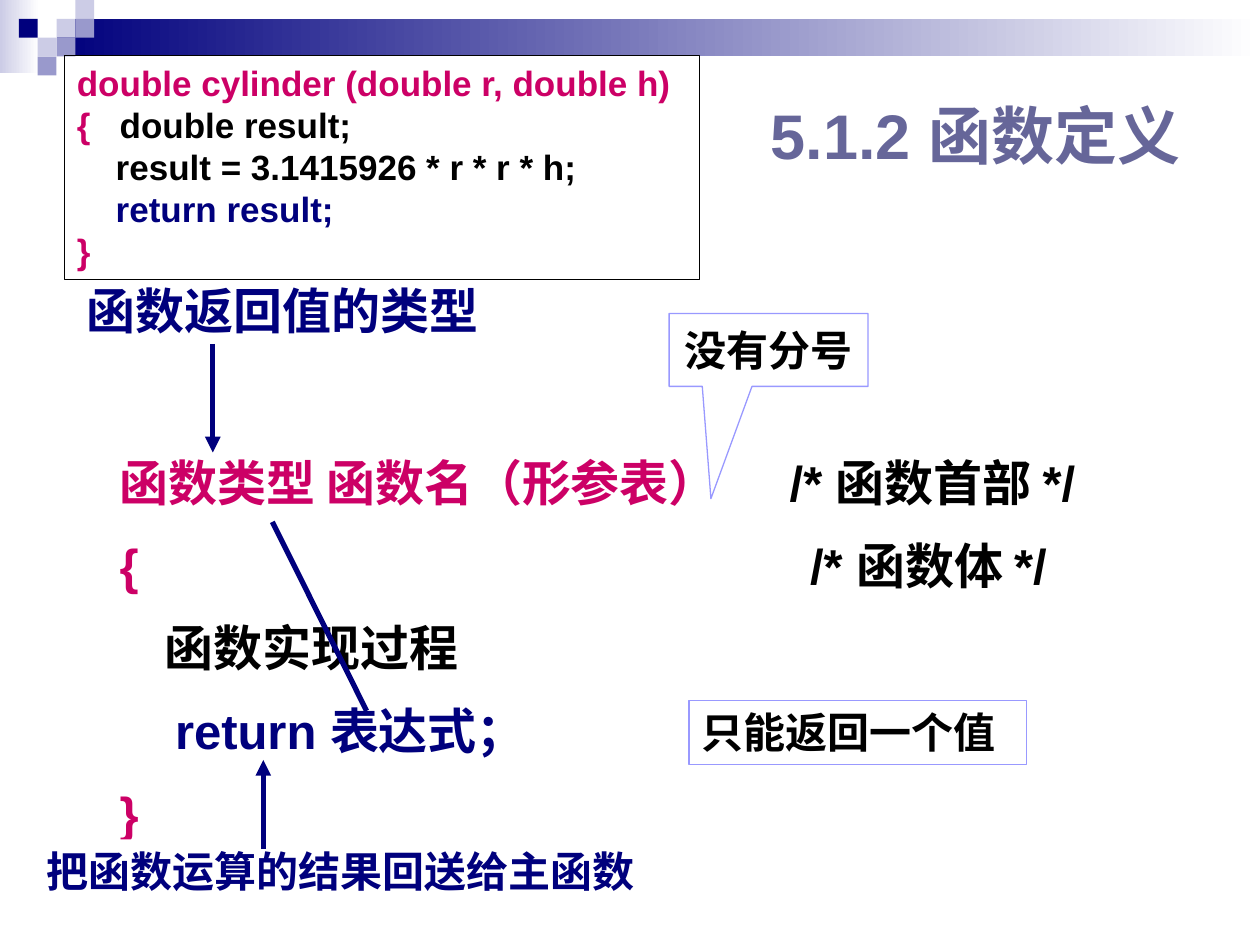
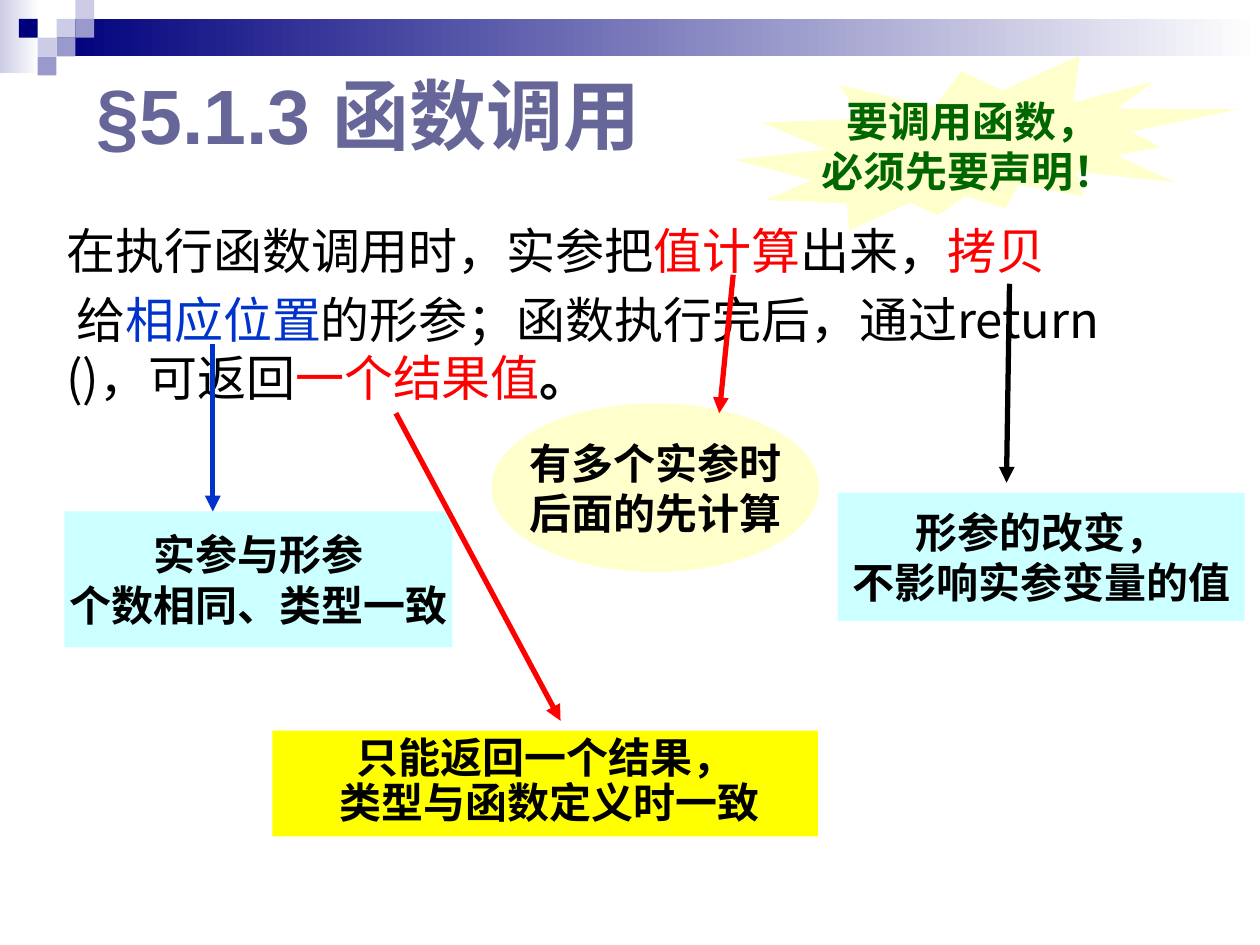
from lxml.etree import SubElement
from pptx import Presentation
from pptx.dml.color import RGBColor
from pptx.enum.shapes import MSO_CONNECTOR, MSO_SHAPE
from pptx.enum.text import MSO_ANCHOR, PP_ALIGN
from pptx.oxml.ns import qn
from pptx.util import Cm, Pt

NAVY = "00007D"
LAVENDER = "CCCCE6"
PERIWINKLE = "9999CC"
OUTLINE = "9999FF"
TITLE = "666699"
MAGENTA = "CC0066"
BLACK = "000000"
WHITE = "FFFFFF"
RED = "FF0000"
BLUE = "0033CC"
GREEN = "006600"
CREAM = "FFFFCC"
AQUA = "CCFFFF"
YELLOW = "FFFF00"
CHINESE_FONT = "Noto Sans CJK SC"
SQUARE = 0.38


def color(value):
    return RGBColor.from_string(value)


def inside(box, left, top, width, height):
    return box[0] + left, box[1] + top, width, height


def set_format(target, values):
    for name, value in values.items():
        setattr(target, name, value)


def add_run(paragraph, text, size, ink, font="Arial", bold=True):
    run = paragraph.add_run()
    run.text = text
    set_format(run.font, {"name": font, "size": Pt(size), "bold": bold})
    run.font.color.rgb = color(ink)
    SubElement(run.font._element, qn("a:ea"), typeface=CHINESE_FONT)


def write(shape, lines, size, font="Arial", bold=True, frame=None, layout=None):
    text_frame = shape.text_frame
    set_format(text_frame, {"word_wrap": True, "vertical_anchor": MSO_ANCHOR.TOP,
                            **(frame or {})})
    for index, line in enumerate(lines):
        paragraph = text_frame.paragraphs[0] if index == 0 else text_frame.add_paragraph()
        set_format(paragraph, {"alignment": PP_ALIGN.LEFT, **(layout or {})})
        if index == 0:
            paragraph.space_before = Pt(0)
        for text, ink in line:
            add_run(paragraph, text, size, ink, font, bold)
    return text_frame


def add_text(slide, box, lines, size, **options):
    shape = slide.shapes.add_textbox(*map(Cm, box))
    return write(shape, lines, size, **options)


def add_shape(slide, kind, box, fill=None, line=None):
    shape = slide.shapes.add_shape(kind, *map(Cm, box))
    shape.shadow.inherit = False
    if fill:
        shape.fill.solid()
        shape.fill.fore_color.rgb = color(fill)
    else:
        shape.fill.background()
    if line:
        shape.line.color.rgb = color(line)
        shape.line.width = Pt(0.75)
    else:
        shape.line.fill.background()
    return shape


def add_note(slide, kind, box, fill, lines, ink=BLACK, font="Times New Roman",
             line=None, spacing=1.0, anchor=MSO_ANCHOR.MIDDLE):
    shape = add_shape(slide, kind, box, fill, line)
    write(shape, [[(text, ink)] for text in lines], 24, font=font,
          frame={"word_wrap": False, "vertical_anchor": anchor},
          layout={"alignment": PP_ALIGN.CENTER, "line_spacing": spacing})
    return shape


def add_line(slide, box, start, end, ink, arrow=True):
    points = (box[0] + start[0], box[1] + start[1], box[0] + end[0], box[1] + end[1])
    connector = slide.shapes.add_connector(MSO_CONNECTOR.STRAIGHT, *map(Cm, points))
    connector.line.color.rgb = color(ink)
    connector.line.width = Pt(3)
    if arrow:
        SubElement(connector.line._get_or_add_ln(), qn("a:tailEnd"), type="triangle")
    SubElement(connector._element.spPr, qn("a:effectLst"))


def set_tab(paragraph, position):
    tabs = SubElement(paragraph._p.get_or_add_pPr(), qn("a:tabLst"))
    SubElement(tabs, qn("a:tab"), pos=str(Cm(position)), algn="l")


def set_indent(paragraph, margin, first_line=0):
    properties = paragraph._p.get_or_add_pPr()
    properties.set("marL", str(Cm(margin)))
    properties.set("indent", str(Cm(first_line)))


def draw_header(slide, box):
    bands = [((0, 0, 0.79, 1.47), LAVENDER),
             ((3 * SQUARE, SQUARE, box[2] - 3 * SQUARE, 0.76), NAVY)]
    for band, start in bands:
        shape = add_shape(slide, MSO_SHAPE.RECTANGLE, inside(box, *band), WHITE)
        shape.fill.gradient()
        shape.fill.gradient_angle = 0
        for stop, ink in zip(shape.fill.gradient_stops, (start, WHITE)):
            stop.color.rgb = color(ink)
    squares = [(3, 1, LAVENDER), (4, 0, LAVENDER), (4, 1, PERIWINKLE), (2, 2, LAVENDER),
               (1, 1, NAVY), (3, 2, PERIWINKLE), (2, 3, PERIWINKLE)]
    for column, row, ink in squares:
        place = inside(box, column * SQUARE, row * SQUARE, SQUARE, SQUARE)
        add_shape(slide, MSO_SHAPE.RECTANGLE, place, ink)


def draw_title(slide, box, text, size):
    add_text(slide, box, [[(text, TITLE)]], size,
             frame={"vertical_anchor": MSO_ANCHOR.MIDDLE})


def draw_code(slide, box):
    lines = [[("double cylinder (double r, double h)", MAGENTA)],
             [("{", MAGENTA), ("   double result;", BLACK)],
             [("    result = 3.1415926 * r * r * h;", BLACK)],
             [("    return result;", NAVY)],
             [("}", MAGENTA)]]
    write(add_shape(slide, MSO_SHAPE.RECTANGLE, box, line=BLACK), lines, 20)


def draw_syntax(slide, box):
    lines = [[("函数类型 函数名（形参表）", MAGENTA), ("\t/* 函数首部 */", BLACK)],
             [("{", MAGENTA), ("\t/* 函数体 */", BLACK)],
             [("函数实现过程", BLACK)],
             [("return 表达式；", NAVY)],
             [("}", MAGENTA)]]
    text_frame = add_text(slide, inside(box, 0.39, 3.21, 23.8, 9.8), lines, 28,
                          frame={"margin_left": Cm(1.52)},
                          layout={"line_spacing": 1.24, "space_before": Pt(5.6)})
    paragraphs = text_frame.paragraphs
    for paragraph, position in zip(paragraphs[:2], (13.51, 13.92)):
        set_tab(paragraph, position)
    for paragraph, margin in zip(paragraphs[2:4], (0.91, 1.12)):
        set_indent(paragraph, margin)

    add_line(slide, box, (4.99, 5.02), (6.89, 8.83), NAVY, arrow=False)
    result = add_shape(slide, MSO_SHAPE.RECTANGLE, inside(box, 0.19, 11.42, 12.8, 1.27), WHITE)
    write(result, [[("把函数运算的结果回送给主函数", NAVY)]], 24)
    single = add_shape(slide, MSO_SHAPE.RECTANGLE, inside(box, 13.39, 8.62, 6.81, 1.3),
                       WHITE, OUTLINE)
    write(single, [[("只能返回一个值", BLACK)]], 24, font="Times New Roman")
    add_line(slide, box, (3.79, 1.43), (3.79, 3.62), NAVY)
    add_text(slide, inside(box, 1, 0.04, 8.46, 1.45), [[("函数返回值的类型", NAVY)]], 28,
             frame={"word_wrap": False})
    callout = add_note(slide, MSO_SHAPE.RECTANGULAR_CALLOUT, inside(box, 12.99, 0.82, 4.01, 1.47),
                       WHITE, ["没有分号"], font="Arial", line=OUTLINE)
    callout.adjustments[0] = -0.29
    callout.adjustments[1] = 2.04
    add_line(slide, box, (4.81, 11.62), (4.81, 9.82), NAVY)


def draw_call_rules(slide, box):
    notes = [(MSO_SHAPE.RECTANGLE, (15.89, 8.93, 8.2, 2.59), AQUA,
              ["形参的改变，", "不影响实参变量的值"]),
             (MSO_SHAPE.OVAL, (8.91, 7.13, 6.6, 3.4), CREAM,
              ["有多个实参时", "后面的先计算"]),
             (MSO_SHAPE.RECTANGLE, (0.3, 9.31, 7.82, 2.74), AQUA,
              ["实参与形参", "个数相同、类型一致"])]
    for kind, place, fill, lines in notes:
        add_note(slide, kind, inside(box, *place), fill, lines)

    lines = [[("在执行函数调用时，实参把", BLACK), ("值计算", RED), ("出来，", BLACK),
              ("拷贝", RED)],
             [("给", BLACK), ("相应位置", BLUE),
              ("的形参；函数执行完后，通过return ()，可返回", BLACK), ("一个结果值", RED)]]
    text_frame = add_text(slide, inside(box, 0.09, 3.32, 23.6, 4.39), lines, 28,
                          font=CHINESE_FONT, bold=False, frame={"margin_right": Cm(1.9)},
                          layout={"space_before": Pt(5.6)})
    add_run(text_frame.paragraphs[1], "。", 28, BLACK, CHINESE_FONT)
    set_indent(text_frame.paragraphs[1], 0, 0.2)

    add_note(slide, MSO_SHAPE.EXPLOSION2, inside(box, 13.81, 0.12, 10.16, 3.53), CREAM,
             [" 要调用函数，", "必须先要声明！"], GREEN)
    add_note(slide, MSO_SHAPE.RECTANGLE, inside(box, 4.49, 13.73, 11, 2.13), YELLOW,
             ["只能返回一个结果，", " 类型与函数定义时一致"], spacing=0.9, anchor=MSO_ANCHOR.TOP)
    arrows = [((19.35, 4.72), (19.29, 8.73), BLACK), ((3.29, 5.93), (3.29, 9.31), BLUE),
              ((13.78, 4.54), (13.5, 7.33), RED), ((6.98, 7.33), (10.3, 13.53), RED)]
    for start, end, ink in arrows:
        add_line(slide, box, start, end, ink)


def add_slide(presentation):
    slide = presentation.slides.add_slide(presentation.slide_layouts[6])
    draw_header(slide, (0, 0, 25.4, 1.52))
    return slide


def main():
    presentation = Presentation()
    set_format(presentation, {"slide_width": Cm(25.4), "slide_height": Cm(19.05)})

    definition = add_slide(presentation)
    draw_title(definition, (15.29, 1.32, 9.6, 2.79), "5.1.2 函数定义", 36)
    draw_syntax(definition, (0.5, 5.5, 24.2, 13.1))
    draw_code(definition, (1.3, 1.12, 12.8, 4.52))

    call = add_slide(presentation)
    draw_title(call, (1.7, 1.12, 13.79, 2.34), "§5.1.3 函数调用", 44)
    draw_call_rules(call, (1, 1, 24.1, 16))

    presentation.save("out.pptx")


if __name__ == "__main__":
    main()
